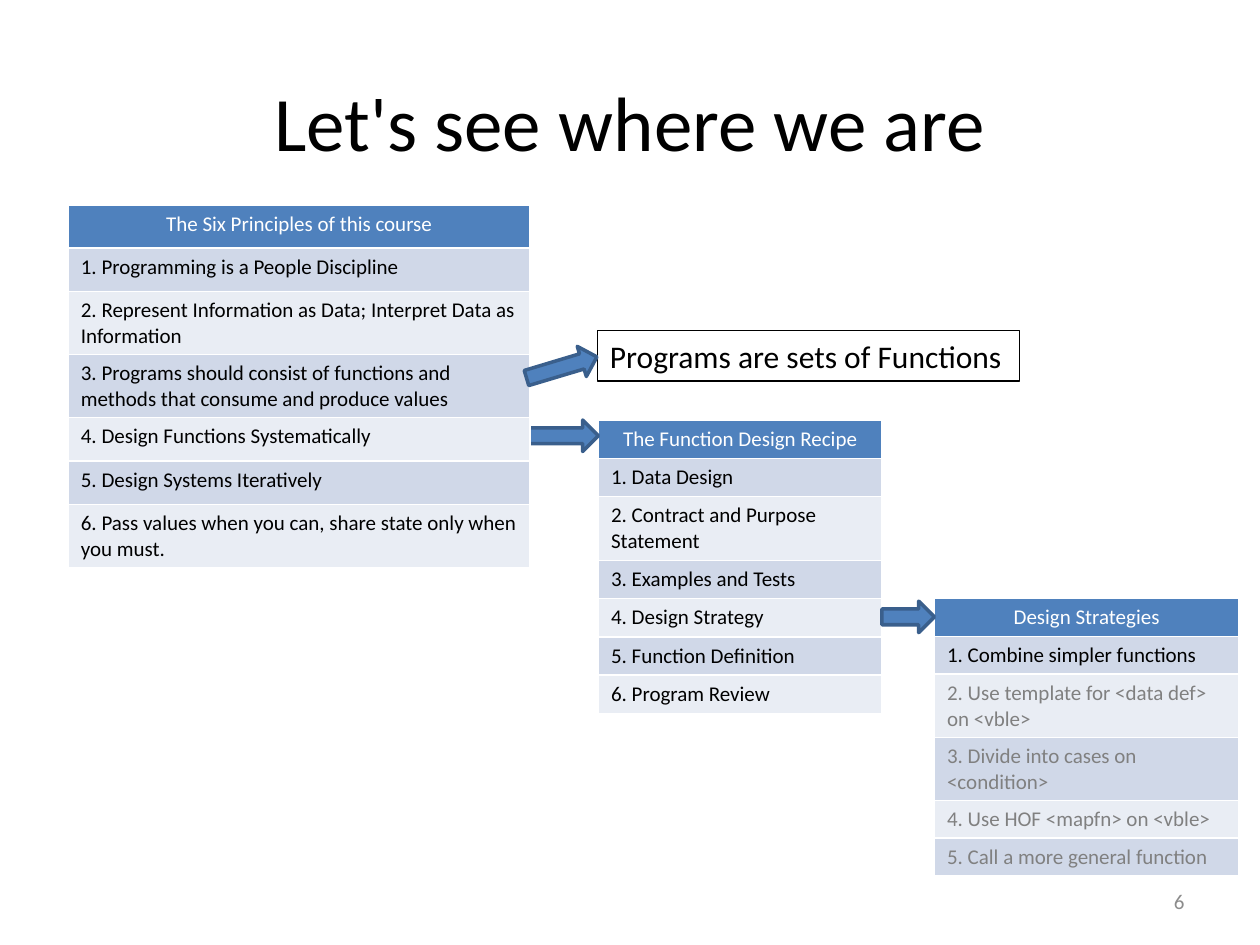
from dataclasses import dataclass

from pptx import Presentation
from pptx.dml.color import RGBColor
from pptx.enum.shapes import MSO_SHAPE
from pptx.enum.text import MSO_ANCHOR, MSO_AUTO_SIZE, PP_ALIGN
from pptx.slide import Slide
from pptx.util import Pt

FONT = "Calibri"
BLACK = RGBColor(0x00, 0x00, 0x00)
WHITE = RGBColor(0xFF, 0xFF, 0xFF)
GRAY = RGBColor(0x80, 0x80, 0x80)
NUMBER_GRAY = RGBColor(0x8C, 0x8C, 0x8C)
BLUE = RGBColor(0x4F, 0x81, 0xBD)
DARK_BLUE = RGBColor(0x3A, 0x5F, 0x8C)
BANDS = (RGBColor(0xD0, 0xD8, 0xE8), RGBColor(0xE9, 0xED, 0xF4))


@dataclass
class ListTable:
    left: float
    top: float
    width: float
    row_height: float
    heading: str
    items: list[str]
    active_items: int  # items after these are grayed out


@dataclass
class Arrow:
    left: float
    top: float
    width: float
    rotation: float = 0


PRINCIPLES = ListTable(39, 117, 264, 24.8, "The Six Principles of this course", [
    "Programming is a People Discipline",
    "Represent Information as Data; Interpret Data as Information",
    "Programs should consist of functions and methods that consume and produce values",
    "Design Functions Systematically",
    "Design Systems Iteratively",
    "Pass values when you can, share state only when you must.",
], 6)
RECIPE = ListTable(342, 240, 162, 21, "The Function Design Recipe", [
    "Data Design",
    "Contract and Purpose Statement",
    "Examples and Tests",
    "Design Strategy",
    "Function Definition",
    "Program Review",
], 6)
STRATEGIES = ListTable(534, 342, 174, 21, "Design Strategies", [
    "Combine simpler functions",
    "Use template for <data def> on <vble>",
    "Divide into cases on <condition>",
    "Use HOF <mapfn> on <vble>",
    "Call a more general function",
], 1)

TO_RECIPE = Arrow(300, 240, 42)
TO_FUNCTIONS = Arrow(300, 201, 42, 343.3)
TO_STRATEGIES = Arrow(504, 343.5, 30)


def format_text(paragraph, size: float, color: RGBColor, alignment=PP_ALIGN.LEFT) -> None:
    paragraph.alignment = alignment
    font = paragraph.font
    font.name, font.size, font.bold = FONT, Pt(size), False
    font.color.rgb = color


def add_list_table(slide: Slide, spec: ListTable) -> None:
    count = len(spec.items) + 1
    table = slide.shapes.add_table(
        count, 1, Pt(spec.left), Pt(spec.top), Pt(spec.width), Pt(spec.row_height * count)
    ).table
    for index in range(count):
        table.rows[index].height = Pt(spec.row_height)
        cell = table.cell(index, 0)
        cell.fill.solid()
        paragraph = cell.text_frame.paragraphs[0]
        if index == 0:
            cell.fill.fore_color.rgb = BLUE
            paragraph.text = spec.heading
            format_text(paragraph, 12, WHITE, PP_ALIGN.CENTER)
        else:
            cell.fill.fore_color.rgb = BANDS[(index - 1) % 2]
            paragraph.text = f"{index}. {spec.items[index - 1]}"
            format_text(paragraph, 12, BLACK if index <= spec.active_items else GRAY)


def add_arrow(slide: Slide, arrow: Arrow) -> None:
    shape = slide.shapes.add_shape(
        MSO_SHAPE.RIGHT_ARROW, Pt(arrow.left), Pt(arrow.top), Pt(arrow.width), Pt(18)
    )
    shape.rotation = arrow.rotation
    shape.shadow.inherit = False
    shape.fill.solid()
    shape.fill.fore_color.rgb = BLUE
    shape.line.color.rgb = DARK_BLUE
    shape.line.width = Pt(2)


def add_title(slide: Slide) -> None:
    title = slide.shapes.title
    title.left, title.top, title.width, title.height = Pt(36), Pt(24), Pt(648), Pt(90)
    title.text_frame.text = "Let's see where we are"
    title.text_frame.vertical_anchor = MSO_ANCHOR.MIDDLE
    format_text(title.text_frame.paragraphs[0], 44, BLACK, PP_ALIGN.CENTER)


def add_slide_number(slide: Slide) -> None:
    frame = slide.shapes.add_textbox(Pt(516), Pt(500.5), Pt(168), Pt(28.75)).text_frame
    frame.word_wrap = True
    frame.vertical_anchor = MSO_ANCHOR.MIDDLE
    frame.text = "6"
    format_text(frame.paragraphs[0], 12, NUMBER_GRAY, PP_ALIGN.RIGHT)


def add_functions_box(slide: Slide) -> None:
    box = slide.shapes.add_textbox(Pt(341.5), Pt(188.75), Pt(241), Pt(29))
    box.line.color.rgb = BLACK
    box.line.width = Pt(0.75)
    frame = box.text_frame
    frame.word_wrap = False
    frame.auto_size = MSO_AUTO_SIZE.SHAPE_TO_FIT_TEXT
    frame.text = "Programs are sets of Functions"
    format_text(frame.paragraphs[0], 18, BLACK)


def main() -> None:
    presentation = Presentation()
    presentation.slide_width, presentation.slide_height = Pt(720), Pt(540)
    slide = presentation.slides.add_slide(presentation.slide_layouts[5])
    add_title(slide)
    add_list_table(slide, RECIPE)
    add_arrow(slide, TO_RECIPE)
    add_slide_number(slide)
    add_list_table(slide, PRINCIPLES)
    add_functions_box(slide)
    add_arrow(slide, TO_FUNCTIONS)
    add_list_table(slide, STRATEGIES)
    add_arrow(slide, TO_STRATEGIES)
    presentation.save("out.pptx")


if __name__ == "__main__":
    main()
